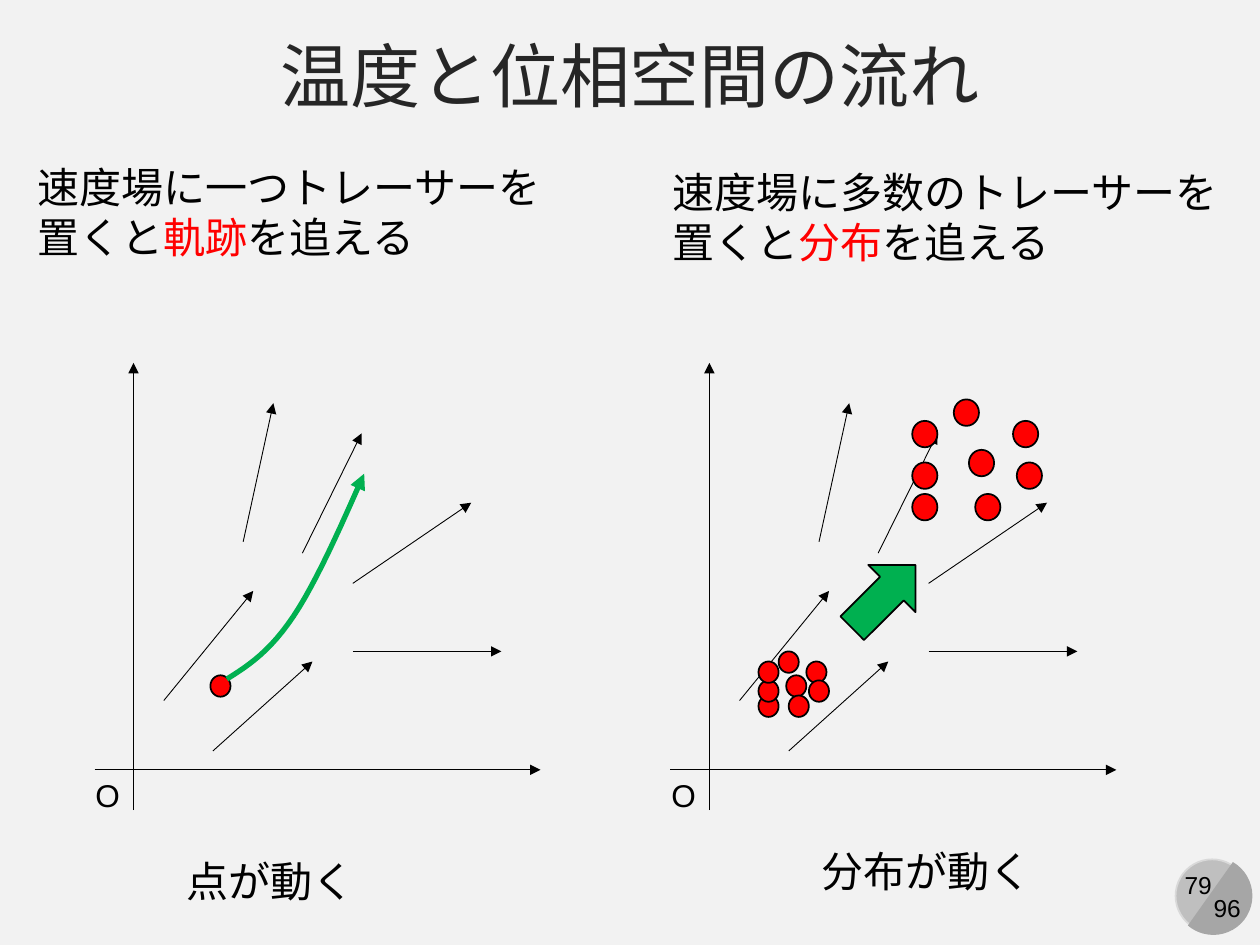
from lxml.etree import SubElement
from pptx import Presentation
from pptx.dml.color import RGBColor
from pptx.enum.shapes import MSO_CONNECTOR as Connector, MSO_SHAPE as Shape
from pptx.enum.text import MSO_ANCHOR as Anchor, MSO_AUTO_SIZE as AutoSize, PP_ALIGN as Align
from pptx.oxml.ns import qn
from pptx.util import Inches, Pt

COLORS = {
    "background": "F2F2F2", "title": "262626", "ink": "000000",
    "accent": "FF0000", "flow": "00B050",
    "badge": "BFBFBF", "badge_line": "D9D9D9", "badge_chord": "A6A6A6",
}
FONT = "Arial"
WIDTH, HEIGHT = 10, 7.5

# Plot origins, and field arrows as (x, y) offsets right of and above the origin
ORIGINS = [(1.06, 6.11), (5.63, 6.11)]
AXES = [((-0.31, 0), (3.23, 0)), ((0, -0.32), (0, 3.23))]
FIELD = [
    ((0.87, 1.81), (1.11, 2.91)), ((0.24, 0.55), (0.95, 1.42)),
    ((1.74, 1.48), (2.68, 2.12)), ((0.63, 0.15), (1.42, 0.86)),
    ((1.74, 0.94), (2.92, 0.94)), ((1.34, 1.72), (1.81, 2.67)),
]

# Tracer positions (left, top) before and after the flow
START_CLUSTER = [(6.24, 5.36), (6.26, 5.52), (6.02, 5.52), (6.4, 5.25),
                 (6.02, 5.4), (6.18, 5.17), (6.02, 5.25), (6.42, 5.4)]
END_CLUSTER = [(7.69, 3.57), (7.74, 3.92), (7.24, 3.92), (8.04, 3.34),
               (7.24, 3.67), (7.57, 3.17), (7.24, 3.34), (8.07, 3.67)]
SMALL, LARGE = (0.16, 0.17), (0.2, 0.21)

# Trajectory as two Bezier segments
TRAJECTORY = [
    [(1.8, 5.39), (1.98, 5.28), (2.15, 5.16), (2.33, 4.89)],
    [(2.33, 4.89), (2.51, 4.62), (2.7, 4.19), (2.89, 3.76)],
]


def rgb(name):
    return RGBColor.from_string(COLORS[name])


def write(frame, lines, size=24, color="ink", align=Align.LEFT):
    """Fill a frame; each line is a list of (text, colour or None) runs."""
    for index, runs in enumerate(lines):
        paragraph = frame.paragraphs[0] if index == 0 else frame.add_paragraph()
        paragraph.alignment = align
        for text, run_color in runs:
            run = paragraph.add_run()
            run.text = text
            run.font.name, run.font.size = FONT, Pt(size)
            run.font.color.rgb = rgb(run_color or color)


def add_text(slide, box, lines, **text_format):
    shape = slide.shapes.add_textbox(*map(Inches, box))
    frame = shape.text_frame
    frame.word_wrap = False
    frame.auto_size = AutoSize.SHAPE_TO_FIT_TEXT
    write(frame, lines, **text_format)


def add_filled(slide, kind, box, fill, line="ink", rotation=0):
    shape = slide.shapes.add_shape(kind, *map(Inches, box))
    shape.shadow.inherit = False
    shape.rotation = rotation
    shape.fill.solid()
    shape.fill.fore_color.rgb = rgb(fill)
    if line:
        shape.line.color.rgb = rgb(line)
        shape.line.width = Pt(1)
    else:
        shape.line.fill.background()
    return shape


def style_arrow(shape, color, width):
    shape.line.color.rgb = rgb(color)
    shape.line.width = Pt(width)
    SubElement(shape.line._get_or_add_ln(), qn("a:tailEnd"), type="triangle")


def add_arrow(slide, origin, start, end):
    left, base = origin
    points = [Inches(value) for x, y in (start, end) for value in (left + x, base - y)]
    arrow = slide.shapes.add_connector(Connector.STRAIGHT, *points)
    style_arrow(arrow, "ink", 0.5)
    SubElement(arrow._element.spPr, qn("a:effectLst"))


def bezier(points, t):
    """Return the point at share t of a cubic curve, in slide units."""
    weights = ((1 - t) ** 3, 3 * t * (1 - t) ** 2, 3 * t * t * (1 - t), t ** 3)
    return tuple(Inches(sum(w * point[axis] for w, point in zip(weights, points)))
                 for axis in (0, 1))


def add_trajectory(slide, segments, steps=12):
    curve = [bezier(segment, step / steps) for segment in segments for step in range(1, steps + 1)]
    builder = slide.shapes.build_freeform(*bezier(segments[0], 0))
    builder.add_line_segments(curve, close=False)
    shape = builder.convert_to_shape()
    shape.shadow.inherit = False
    shape.fill.background()
    style_arrow(shape, "flow", 3)


def add_plot(slide, origin):
    for start, end in AXES + FIELD:
        add_arrow(slide, origin, start, end)
    add_text(slide, (origin[0] - 0.4, origin[1], 0.4, 0.4), [[("O", None)]], size=18)


def add_tracers(slide, positions, size):
    for position in positions:
        add_filled(slide, Shape.OVAL, position + size, "accent")


def add_badge(slide):
    add_filled(slide, Shape.OVAL, (9.33, 6.82, 0.58, 0.58), "badge", line="badge_line")
    chord = add_filled(slide, Shape.CHORD, (9.32, 6.8, 0.62, 0.62), "badge_chord",
                       line=None, rotation=255)
    for index, angle in enumerate((27, 141.42)):
        chord.adjustments[index] = angle
    for box, number in (((9.29, 6.86, 0.44, 0.34), "79"), ((9.53, 7.04, 0.42, 0.34), "96")):
        add_text(slide, box, [[(number, None)]], size=14, align=Align.CENTER)


def add_title(slide, text):
    title = slide.shapes.title
    title.left, title.top = 0, Inches(0.18)
    title.width, title.height = Inches(WIDTH), Inches(0.82)
    title.text_frame.vertical_anchor = Anchor.MIDDLE
    write(title.text_frame, [[(text, None)]], size=40, color="title", align=Align.CENTER)


def add_statement(slide, box, first_line, keyword):
    add_text(slide, box, [[(first_line, None)],
                          [("置くと", None), (keyword, "accent"), ("を追える", None)]])


def main():
    presentation = Presentation()
    presentation.slide_width, presentation.slide_height = Inches(WIDTH), Inches(HEIGHT)
    slide = presentation.slides.add_slide(presentation.slide_layouts[5])
    slide.background.fill.solid()
    slide.background.fill.fore_color.rgb = rgb("background")

    add_badge(slide)
    add_title(slide, "温度と位相空間の流れ")
    for origin in ORIGINS:
        add_plot(slide, origin)

    # Left: one tracer follows a trajectory
    add_statement(slide, (0.2, 1.23, 4.24, 0.91), "速度場に一つトレーサーを", "軌跡")
    add_tracers(slide, [(1.67, 5.36)], SMALL)
    add_trajectory(slide, TRAJECTORY)
    add_text(slide, (1.38, 6.74, 1.55, 0.5), [[("点が動く", None)]])

    # Right: many tracers move as a distribution
    add_statement(slide, (5.24, 1.27, 4.58, 0.91), "速度場に多数のトレーサーを", "分布")
    add_tracers(slide, START_CLUSTER, SMALL)
    add_tracers(slide, END_CLUSTER, LARGE)
    add_filled(slide, Shape.RIGHT_ARROW, (6.66, 4.47, 0.71, 0.53), "flow", rotation=315)
    add_text(slide, (6.42, 6.66, 1.88, 0.5), [[("分布が動く", None)]])

    presentation.save("out.pptx")


if __name__ == "__main__":
    main()
